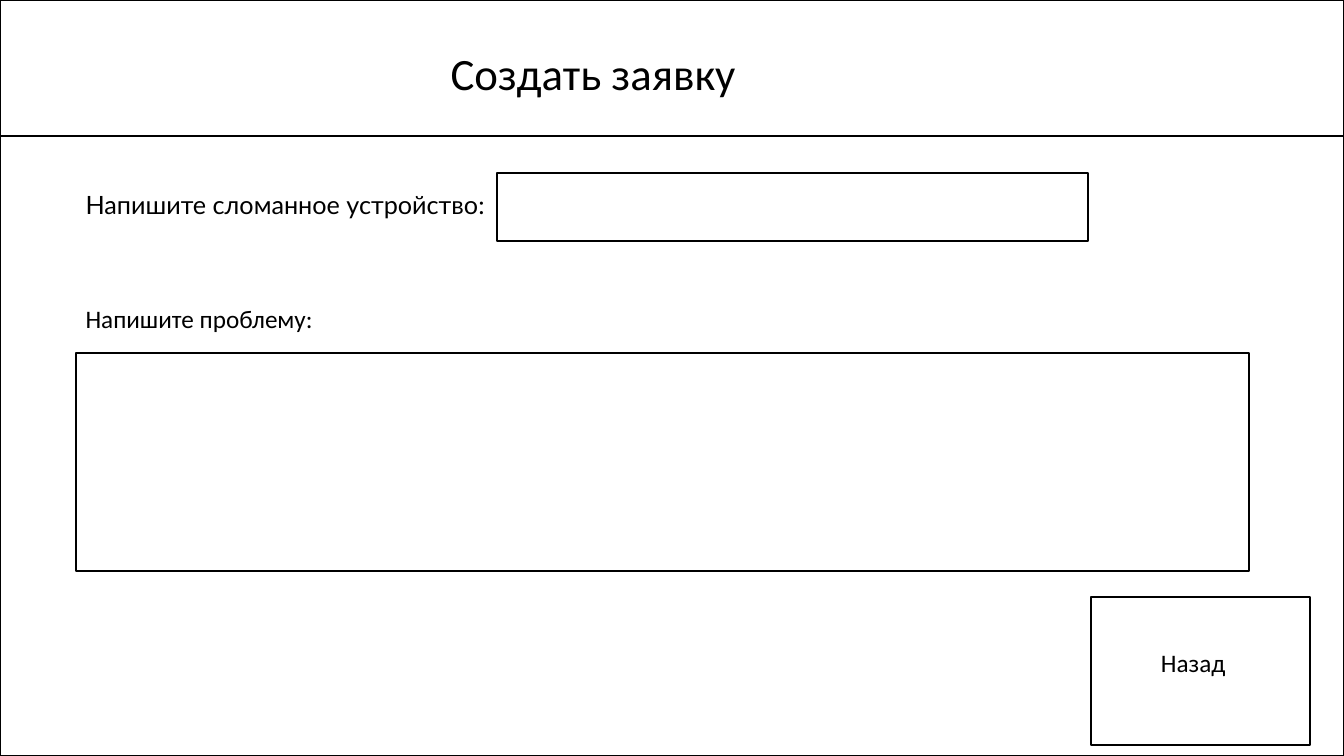
from lxml.etree import SubElement
from pptx import Presentation
from pptx.dml.color import RGBColor
from pptx.enum.shapes import MSO_CONNECTOR as LINE, MSO_SHAPE as SHAPE
from pptx.enum.text import MSO_ANCHOR as ANCHOR, MSO_AUTO_SIZE as AUTO, PP_ALIGN as ALIGN
from pptx.oxml.ns import qn
from pptx.util import Pt

BLACK = RGBColor(0, 0, 0)
WIDE, HIGH = 960, 540
HEAD = 97.2
LEFT = 54


def write(box, text, size, font):
    frame = box.text_frame
    frame.text = text
    frame.word_wrap = False
    frame.auto_size = AUTO.NONE
    frame.vertical_anchor = ANCHOR.TOP
    para = frame.paragraphs[0]
    para.alignment = ALIGN.LEFT
    run = para.runs[0]
    run.font.size = Pt(size)
    run.font.name = font
    run.font.color.rgb = BLACK


deck = Presentation()
deck.slide_width, deck.slide_height = Pt(WIDE), Pt(HIGH)
slide = deck.slides.add_slide(deck.slide_layouts[5])
shapes = slide.shapes

# Title
title = shapes.title
title.left, title.top = Pt(314.6), Pt(28.8)
title.width, title.height = Pt(222.5), Pt(46)
write(title, "Создать заявку", 32, "Calibri")

# Page frame, device field, problem field, back button
for x, y, w, h in [
    (0, 0, WIDE, HIGH),
    (355, 123.8, 422, 48.2),
    (LEFT, 252, 838, 156.2),
    (779, 426.2, 157, 105.8),
]:
    box = shapes.add_shape(SHAPE.RECTANGLE, Pt(x), Pt(y), Pt(w), Pt(h))
    box.shadow.inherit = False
    box.fill.background()
    box.line.color.rgb = BLACK
    box.line.width = Pt(1.5)

# Line below the header
rule = shapes.add_connector(LINE.STRAIGHT, 0, Pt(HEAD), Pt(WIDE), Pt(HEAD))
rule.line.color.rgb = BLACK
rule.line.width = Pt(1.5)
SubElement(rule._element.spPr, qn("a:effectLst"))

# Labels
for text, x, y, w, font in [
    ("Напишите сломанное устройство:", LEFT, 131.8, 301, "Lato"),
    ("Напишите проблему:", LEFT, 213.1, 178.6, "Calibri"),
    ("Назад", 822.2, 458.6, 69.8, "Calibri"),
]:
    label = shapes.add_textbox(Pt(x), Pt(y), Pt(w), Pt(29))
    write(label, text, 18, font)

deck.save("out.pptx")
